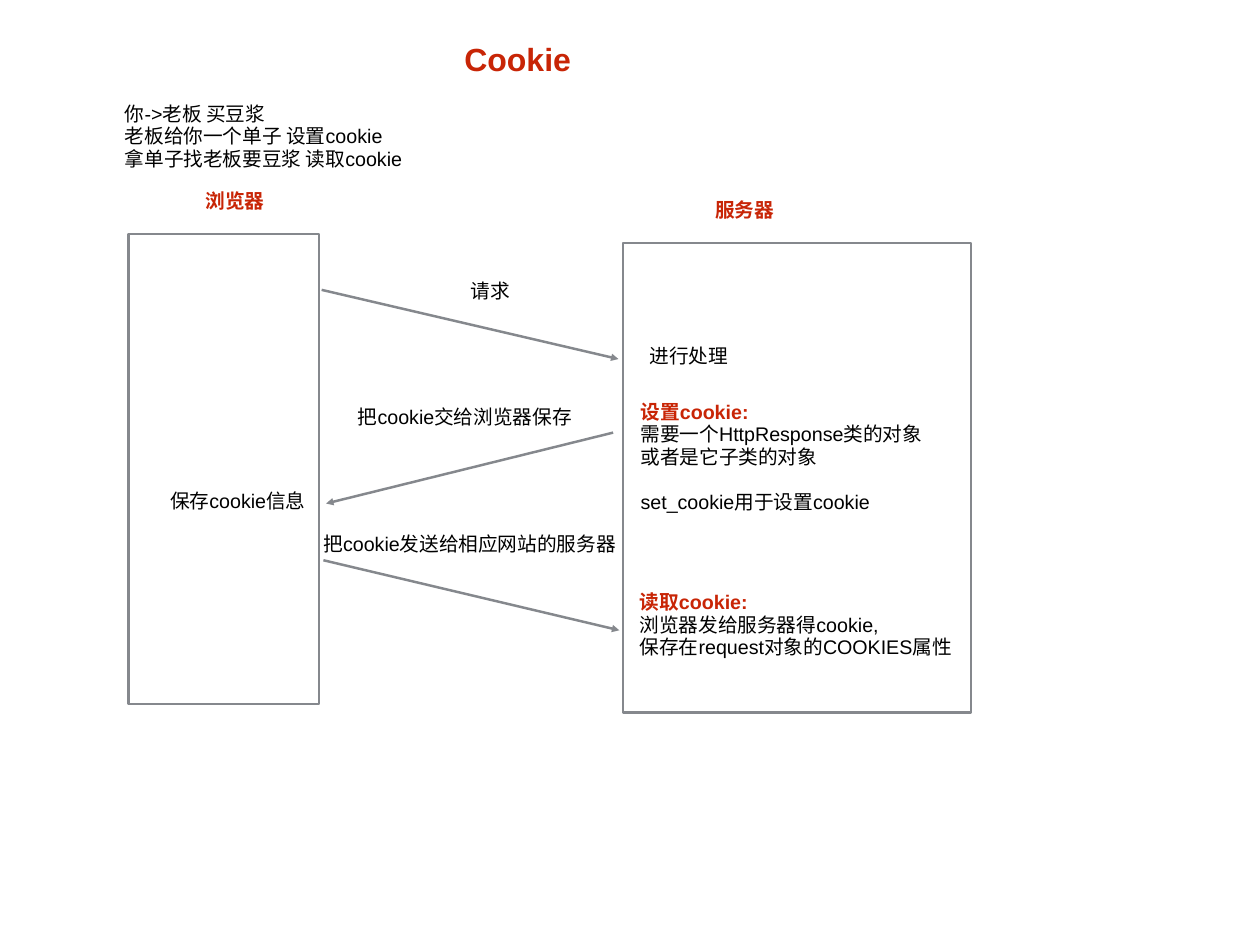
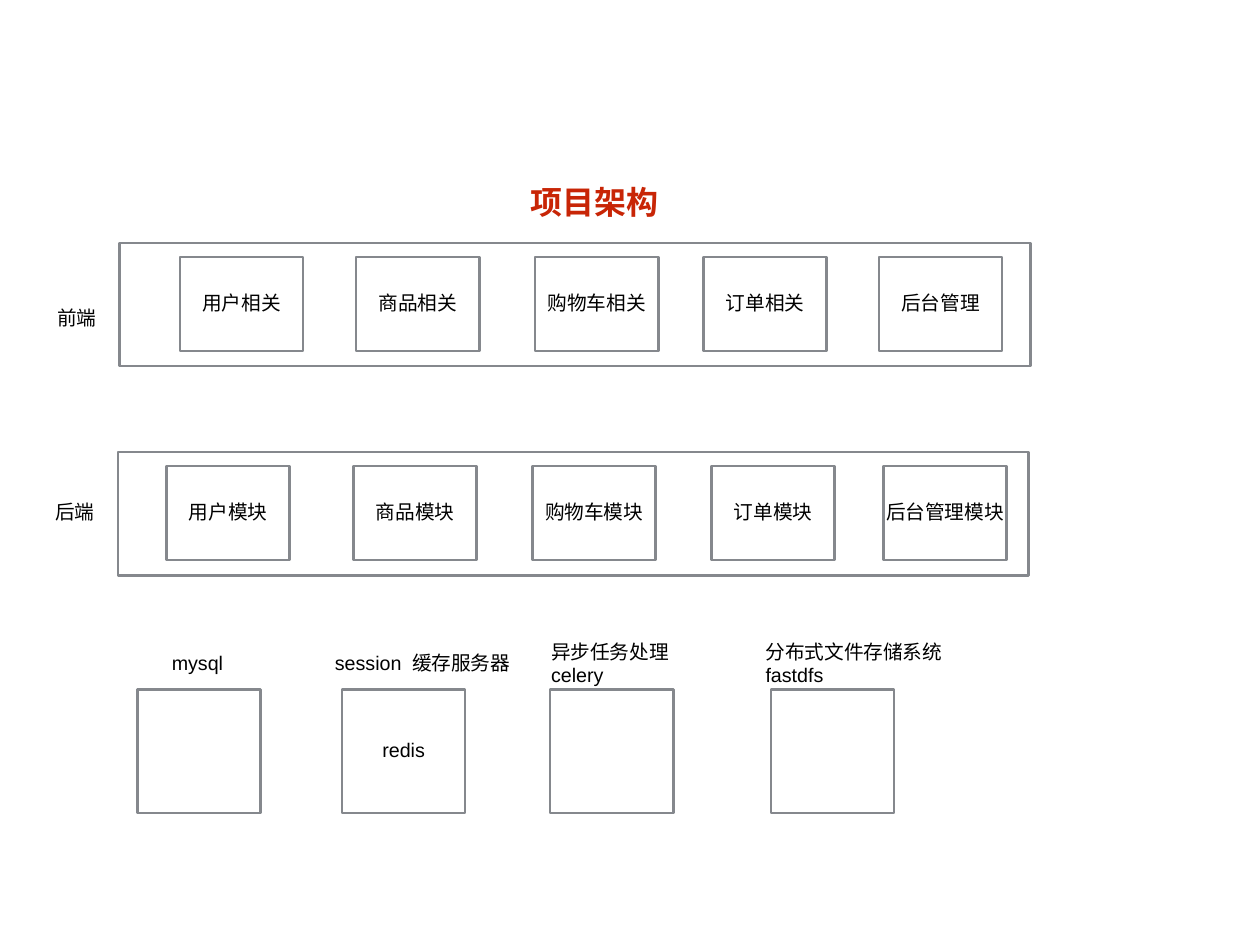
from typing import NamedTuple

from lxml import etree
from pptx import Presentation
from pptx import util as u
from pptx.dml.color import RGBColor
from pptx.enum import shapes, text
from pptx.oxml.ns import qn

RED = RGBColor(0xC8, 0x25, 0x06)
BLACK = RGBColor(0x00, 0x00, 0x00)
GRAY = RGBColor(0x85, 0x88, 0x8D)
FONT = "Arial"
CELL = u.Inches(0.1)  # one column or row of the slide grid
COLUMNS, ROWS = 142.2, 106.6
LINE = 3.5  # rows taken by one line of text
INSET = u.Inches(0.06)


class Box(NamedTuple):
    left: float
    top: float
    width: float
    height: float

    def inside(self, left, top, width, height=LINE):
        """Box placed relative to the top left corner of this one."""
        return Box(self.left + left, self.top + top, width, height)

    def lengths(self):
        return [grid(value) for value in self]


def grid(cells):
    return u.Emu(round(cells * CELL))


def fill_text(shape, content, size=16, color=BLACK, bold=False, headed=False,
              wrap=True, right_inset=0, align=text.PP_ALIGN.LEFT, gaps=None):
    """One paragraph per line; headed marks the first, gaps maps a line to its space before."""
    frame = shape.text_frame
    frame.word_wrap = wrap
    frame.vertical_anchor = text.MSO_ANCHOR.MIDDLE
    frame.margin_left = frame.margin_top = frame.margin_bottom = INSET
    frame.margin_right = right_inset
    for index, line in enumerate(content.split("\n")):
        para = frame.paragraphs[0] if index == 0 else frame.add_paragraph()
        para.alignment = align
        para.line_spacing = 0.9
        para.space_before = u.Pt((gaps or {}).get(index, min(index, 1)))
        span = para.add_run()
        span.text = line
        marked = headed and index == 0
        span.font.name = FONT
        span.font.size = u.Pt(size)
        span.font.bold = bold or marked
        span.font.color.rgb = RED if marked else color


def write(page, box, content, **style):
    fill_text(page.shapes.add_textbox(*box.lengths()), content, **style)


def title(page, box, content):
    write(page, box, content, size=26, color=RED, bold=True)


def outline(page, box, label=None):
    shape = page.shapes.add_shape(shapes.MSO_SHAPE.RECTANGLE, *box.lengths())
    shape.shadow.inherit = False
    shape.fill.background()
    shape.line.color.rgb = GRAY
    shape.line.width = u.Pt(2)
    if label:
        fill_text(shape, label, wrap=False, right_inset=INSET,
                  align=text.PP_ALIGN.CENTER)


def arrow(page, start, end):
    connector = page.shapes.add_connector(
        shapes.MSO_CONNECTOR.STRAIGHT, *(grid(value) for value in start + end))
    connector.line.color.rgb = GRAY
    connector.line.width = u.Pt(2)
    properties = connector.element.spPr
    etree.SubElement(properties.find(qn("a:ln")), qn("a:tailEnd"), type="triangle")
    etree.SubElement(properties, qn("a:effectLst"))


def party(page, box, name, indent):
    """Outlined side of the exchange with its red name above."""
    outline(page, box)
    write(page, box.inside(indent, -5.3, 7.8), name, color=RED, bold=True)


def browser(page, box):
    party(page, box, "浏览器", 8.1)
    write(page, box.inside(4.1, 28.5, 17.8), "保存cookie信息")


def server(page, box):
    party(page, box, "服务器", 9.8)
    write(page, box.inside(2.4, 11.1, 10), "进行处理")
    write(page, box.inside(1.4, 17.4, 34.6, 13.7),
          "设置cookie:\n需要一个HttpResponse类的对象\n或者是它子类的对象\n"
          "set_cookie用于设置cookie", headed=True, gaps={3: 19})
    write(page, box.inside(1.3, 38.9, 38.4, 8.6),
          "读取cookie:\n浏览器发给服务器得cookie,\n保存在request对象的COOKIES属性",
          headed=True, right_inset=INSET)


def messages(page, box):
    """Arrows and their labels in the gap between browser and server."""
    for start, end, label_place, label in (
        ((0.3, 6.3), (33.8, 14.1), (16.5, 4.8, 5.6), "请求"),
        ((33.2, 22.4), (0.8, 30.4), (3.8, 19, 26.7), "把cookie交给浏览器保存"),
        ((0.5, 36.8), (33.9, 44.7), (-0.1, 33.3, 35.5), "把cookie发送给相应网站的服务器"),
    ):
        arrow(page, *((box.left + x, box.top + y) for x, y in (start, end)))
        write(page, box.inside(*label_place), label)


def cookie_slide(page):
    title(page, Box(51.8, 4.4, 13.2, 5), "Cookie")
    write(page, Box(13.5, 11.2, 33.3, 8.6),
          "你->老板 买豆浆\n老板给你一个单子 设置cookie\n拿单子找老板要豆浆 读取cookie")
    browser(page, Box(14.5, 26.4, 21.5, 53))
    server(page, Box(70.3, 27.4, 39.3, 53))
    messages(page, Box(36, 26.4, 34.3, 53))


def layer(page, box, name, name_top, modules):
    """Band of modules, each given by its column, with the band name at its left."""
    outline(page, box)
    write(page, box.inside(-7.65, name_top, 5.6), name)
    for column, label in modules.items():
        outline(page, box.inside(column, 1.6, 13.9, 10.6), label)


def services(page, box):
    for column, label in ((0, None), (23.1, "redis"), (46.6, None), (71.5, None)):
        outline(page, box.inside(column, 0, 13.9, 13.9), label)
    for place, caption in (
        ((3.3, -4.6, 7.3), "mysql"),
        ((21.7, -4.6, 8.8), "session"),
        ((30.4, -4.6, 12.2), "缓存服务器"),
        ((46.1, -5.8, 14.4, 6), "异步任务处理\ncelery"),
        ((70.3, -5.8, 21.1, 6), "分布式文件存储系统\nfastdfs"),
    ):
        write(page, box.inside(*place), caption)


def architecture_slide(page):
    title(page, Box(59.3, 20.5, 15.6, 5), "项目架构")
    layer(page, Box(13.5, 27.4, 102.8, 13.9), "前端", 6.8,
          {6.8: "用户相关", 26.7: "商品相关", 46.9: "购物车相关",
           65.9: "订单相关", 85.7: "后台管理"})
    layer(page, Box(13.3, 51, 102.8, 13.9), "后端", 5.1,
          {5.5: "用户模块", 26.6: "商品模块", 46.8: "购物车模块",
           67: "订单模块", 86.4: "后台管理模块"})
    services(page, Box(15.5, 77.8, 85.4, 13.9))


def main():
    deck = Presentation()
    deck.slide_width, deck.slide_height = grid(COLUMNS), grid(ROWS)
    for build in (cookie_slide, architecture_slide):
        build(deck.slides.add_slide(deck.slide_layouts[6]))
    deck.save("out.pptx")


if __name__ == "__main__":
    main()
